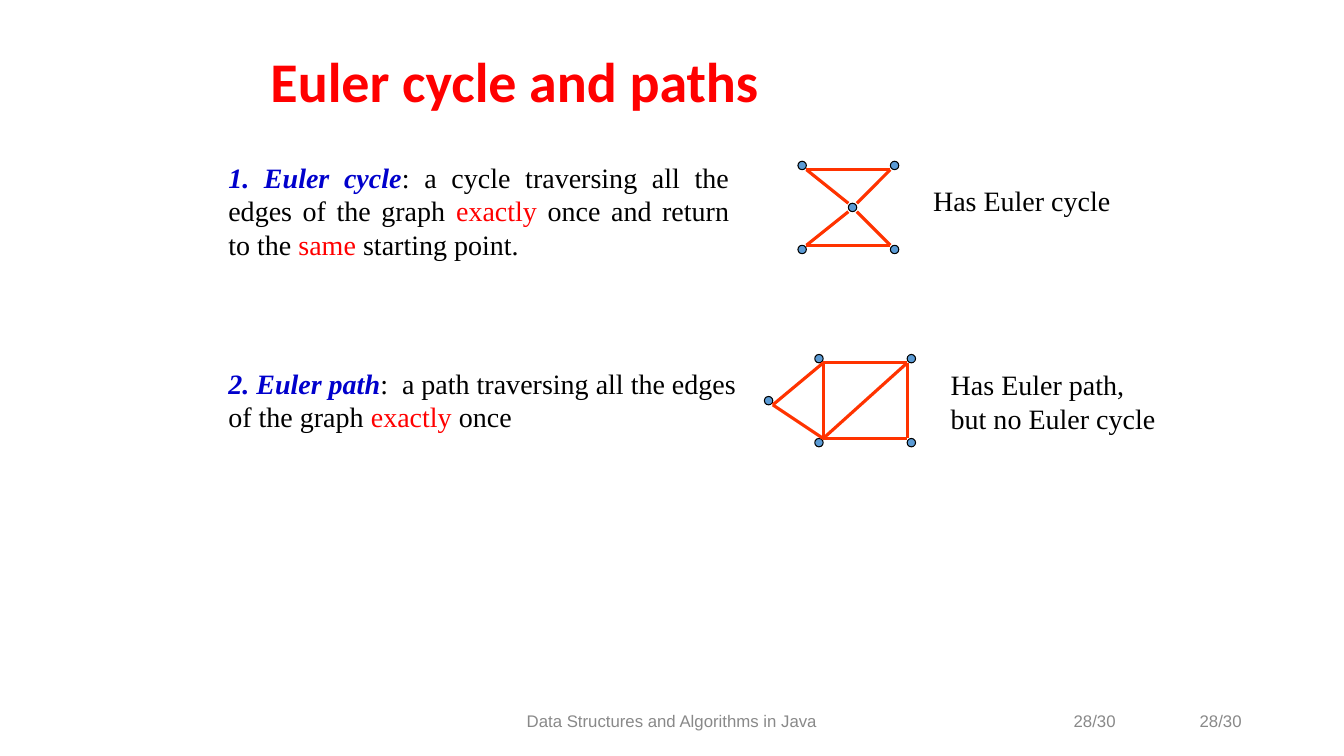
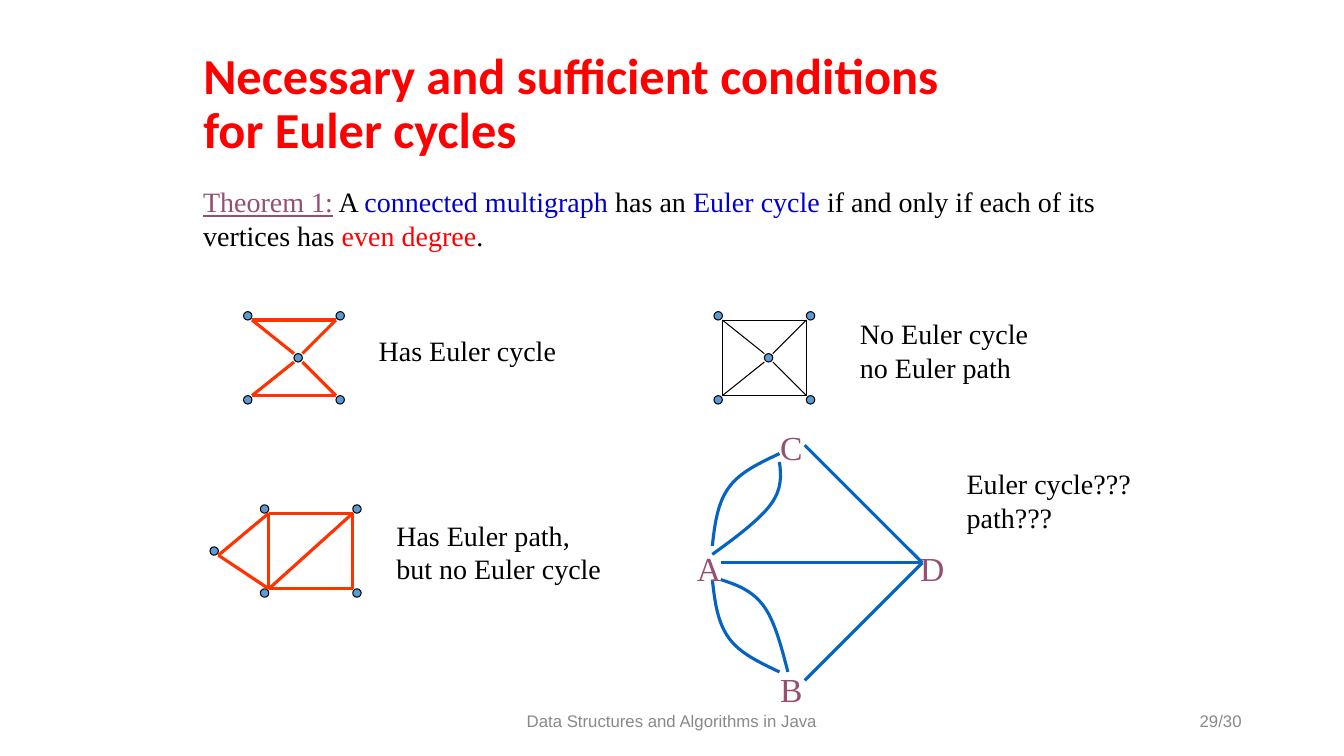
from pptx import Presentation
from pptx.dml.color import RGBColor
from pptx.enum.shapes import MSO_CONNECTOR, MSO_SHAPE
from pptx.enum.text import MSO_ANCHOR, MSO_AUTO_SIZE, PP_ALIGN
from pptx.oxml.ns import qn
from pptx.util import Inches, Pt
from lxml import etree

# The slide is a grid of 160 columns by 90 rows.
COLS, ROWS = 160, 90
CELL = Inches(7.5) / ROWS

BLACK, RED, BLUE, GREY = "000000", "FF0000", "0000CC", "898989"
PLUM, ORANGE, DOT_FILL, BRIDGE = "954F72", "FF3300", "5B9BD5", "0563C1"
SERIF, SANS, TITLE_FONT = "Times New Roman", "Arial", "Calibri"
THIN, THICK = 0.75, 2.25

# Graph parts, in cells from the graph's top left dot
CORNER_DOTS = [(0, 0), (11, 0), (0, 10), (11, 10)]
TL, TR, BL, BR = (1, 1), (11, 1), (1, 10), (11, 10)
HUB, TIP = (6, 5), (-6, 5)
TIP_END = (-5, 6)
TOP, BOTTOM, LEFT, RIGHT = (TL, TR), (BL, BR), (TL, BL), (TR, BR)
SPOKES = [(TL, (6, 5)), (TR, (7, 5)), (BL, (6, 6)), (BR, (7, 6))]

BOW_TIE = (HUB, [TOP, BOTTOM, *SPOKES])
WHEEL = (HUB, [TOP, BOTTOM, LEFT, RIGHT, *SPOKES])
HOUSE = (TIP, [TOP, BOTTOM, LEFT, RIGHT, (TR, BL), (TL, TIP_END), (TIP_END, BL)])


def cells(*values):
    return [round(v * CELL) for v in values]


def rgb(color):
    return RGBColor.from_string(color)


def set_font(font, size, name, color, bold=None):
    font.size, font.name, font.bold = Pt(size), name, bold
    font.color.rgb = rgb(color)


def set_line(line, color, width):
    line.color.rgb = rgb(color)
    line.width = Pt(width)


def add_title(slide, text, box, size):
    sp = slide.shapes.title
    sp.left, sp.top, sp.width, sp.height = cells(*box)
    tf = sp.text_frame
    tf.auto_size = MSO_AUTO_SIZE.NONE
    tf.word_wrap = True
    tf.vertical_anchor = MSO_ANCHOR.MIDDLE
    p = tf.paragraphs[0]
    p.text = text
    p.alignment, p.line_spacing = PP_ALIGN.LEFT, 0.9
    set_font(p.font, size, TITLE_FONT, RED, True)


def add_text(slide, box, lines, size=20, name=SERIF, color=BLACK,
             align=PP_ALIGN.LEFT, anchor=MSO_ANCHOR.TOP):
    tf = slide.shapes.add_textbox(*cells(*box)).text_frame
    tf.word_wrap = True
    tf.vertical_anchor = anchor
    for i, line in enumerate(lines):
        p = tf.add_paragraph() if i else tf.paragraphs[0]
        p.text = line
        p.alignment = align
        set_font(p.font, size, name, color)


def add_rich_text(slide, box, runs, align=PP_ALIGN.LEFT):
    """Write one paragraph from (text, color, font flags) runs."""
    tf = slide.shapes.add_textbox(*cells(*box)).text_frame
    tf.word_wrap = True
    p = tf.paragraphs[0]
    p.alignment = align
    for text, color, *flags in runs:
        r = p.add_run()
        r.text = text
        set_font(r.font, 20, SERIF, color)
        for flag in flags:
            setattr(r.font, flag, True)


def add_footer(slide, page, page_rights):
    """Write the course name and the page number ending at each given column."""
    style = dict(size=12, name=SANS, color=GREY, anchor=MSO_ANCHOR.MIDDLE)
    add_text(slide, (53, 83.4, 54, 4.8), ["Data Structures and Algorithms in Java"],
             align=PP_ALIGN.CENTER, **style)
    for right in page_rights:
        add_text(slide, (right - 14, 83.4, 14, 4.8), [page],
                 align=PP_ALIGN.RIGHT, **style)


def add_line(slide, start, end, color, width):
    sp = slide.shapes.add_connector(MSO_CONNECTOR.STRAIGHT, *cells(*start, *end))
    set_line(sp.line, color, width)
    etree.SubElement(sp._element.spPr, qn("a:effectLst"))


def add_curve(slide, points, color, width):
    """Draw Bézier curves: a start point, then three points for each curve."""
    start, *rest = [cells(*pt) for pt in points]
    builder = slide.shapes.build_freeform(*start)
    builder.add_line_segments(rest, close=False)
    sp = builder.convert_to_shape()
    outline = next(sp._element.iter(qn("a:path")))
    segments = outline.findall(qn("a:lnTo"))
    for i in range(0, len(segments), 3):
        curve = etree.SubElement(outline, qn("a:cubicBezTo"))
        for segment in segments[i:i + 3]:
            curve.append(segment[0])
            outline.remove(segment)
    sp.fill.background()
    set_line(sp.line, color, width)
    sp.shadow.inherit = False


def add_graph(slide, graph, x, y, caption, caption_at, color=ORANGE, width=THICK):
    extra_dot, edges = graph
    for dx, dy in [*CORNER_DOTS, extra_dot]:
        sp = slide.shapes.add_shape(MSO_SHAPE.OVAL, *cells(x + dx, y + dy, 1, 1))
        sp.fill.solid()
        sp.fill.fore_color.rgb = rgb(DOT_FILL)
        set_line(sp.line, BLACK, THIN)
        sp.shadow.inherit = False
    for (x1, y1), (x2, y2) in edges:
        add_line(slide, (x + x1, y + y1), (x + x2, y + y2), color, width)
    dx, dy = caption_at
    add_text(slide, (x + dx, y + dy, 30, 9.2), caption)


def add_bow_tie(slide, x, y):
    add_graph(slide, BOW_TIE, x, y, ["Has Euler cycle"], (14.9, 2))


def add_house(slide, x, y):
    add_graph(slide, HOUSE, x, y, ["Has Euler path,", "but no Euler cycle"], (15, 1))


def add_bridges(slide):
    """Draw the multigraph with doubled edges A–C and A–B."""
    middle = 67
    a, c, d, b = (85.8, middle), (95.8, 53), (109.8, middle), (95.8, 81)
    for start, end in [(c, d), (a, d), (d, b)]:
        add_line(slide, start, end, BRIDGE, THICK)

    upper = [(84.8, 65), (85.1, 62.4), (85.4, 59.9), (86.8, 58),
             (88.1, 56.2), (90.5, 55.1), (92.8, 54)]
    lower = [(x, 2 * middle - y) for x, y in upper]
    upper_inner = [(92.8, 55), (93, 56.6), (93.1, 58.2), (91.8, 60),
                   (90.5, 61.8), (87.6, 64), (84.8, 66)]
    lower_inner = [(85.8, 69), (87.6, 69.6), (89.4, 70.2), (90.8, 72),
                   (92.2, 73.8), (93, 76.9), (93.8, 80)]
    for points in (upper, upper_inner, lower, lower_inner):
        add_curve(slide, points, BRIDGE, THICK)

    for letter, x, y in [("C", 94.2, 53.2), ("A", 84.4, 67.6),
                         ("D", 111, 67.6), ("B", 94.2, 82)]:
        add_text(slide, (x - 3, y - 3, 6, 6), [letter], 24, color=PLUM,
                 align=PP_ALIGN.CENTER, anchor=MSO_ANCHOR.MIDDLE)
    add_text(slide, (113.9, 55, 30, 9.2), ["Euler cycle???", "path???"])


def build_definitions(slide):
    add_title(slide, "Euler cycle and paths", (31, 5.8, 102, 8.5), 40)
    add_rich_text(slide, (26, 18.5, 62, 19), [
        ("1. Euler cycle", BLUE, "bold", "italic"),
        (": a cycle traversing all the edges of the graph ", BLACK),
        ("exactly", RED),
        (" once and return to the ", BLACK),
        ("same", RED),
        (" starting point.", BLACK),
    ], PP_ALIGN.JUSTIFY)
    add_rich_text(slide, (26, 43, 64, 9.2), [
        ("2. Euler path", BLUE, "bold", "italic"),
        (":  a path traversing all the edges of the graph ", BLACK),
        ("exactly", RED),
        (" once", BLACK),
    ])
    add_bow_tie(slide, 95, 19.2)
    add_house(slide, 97, 42.2)
    add_footer(slide, "28/30", [134, 149])


def build_theorem(slide):
    add_title(slide, "Necessary and sufficient conditions\nfor Euler cycles",
              (23, 5, 113, 15), 36)
    add_rich_text(slide, (23, 21.4, 114, 9.2), [
        ("Theorem 1:", PLUM, "underline"),
        (" A ", BLACK),
        ("connected multigraph ", BLUE),
        ("has an ", BLACK),
        ("Euler cycle ", BLUE),
        ("if and only if each of its vertices has ", BLACK),
        ("even degree", RED),
        (".", BLACK),
    ])
    add_bow_tie(slide, 29, 37.1)
    add_graph(slide, WHEEL, 85, 37.1, ["No Euler cycle", "no Euler path"],
              (16.2, 0), BLACK, THIN)
    add_house(slide, 31, 60.1)
    add_bridges(slide)
    add_footer(slide, "29/30", [149])


def main():
    prs = Presentation()
    prs.slide_width, prs.slide_height = cells(COLS, ROWS)
    title_only = prs.slide_layouts[5]
    for build in (build_definitions, build_theorem):
        build(prs.slides.add_slide(title_only))
    prs.save("out.pptx")


if __name__ == "__main__":
    main()
